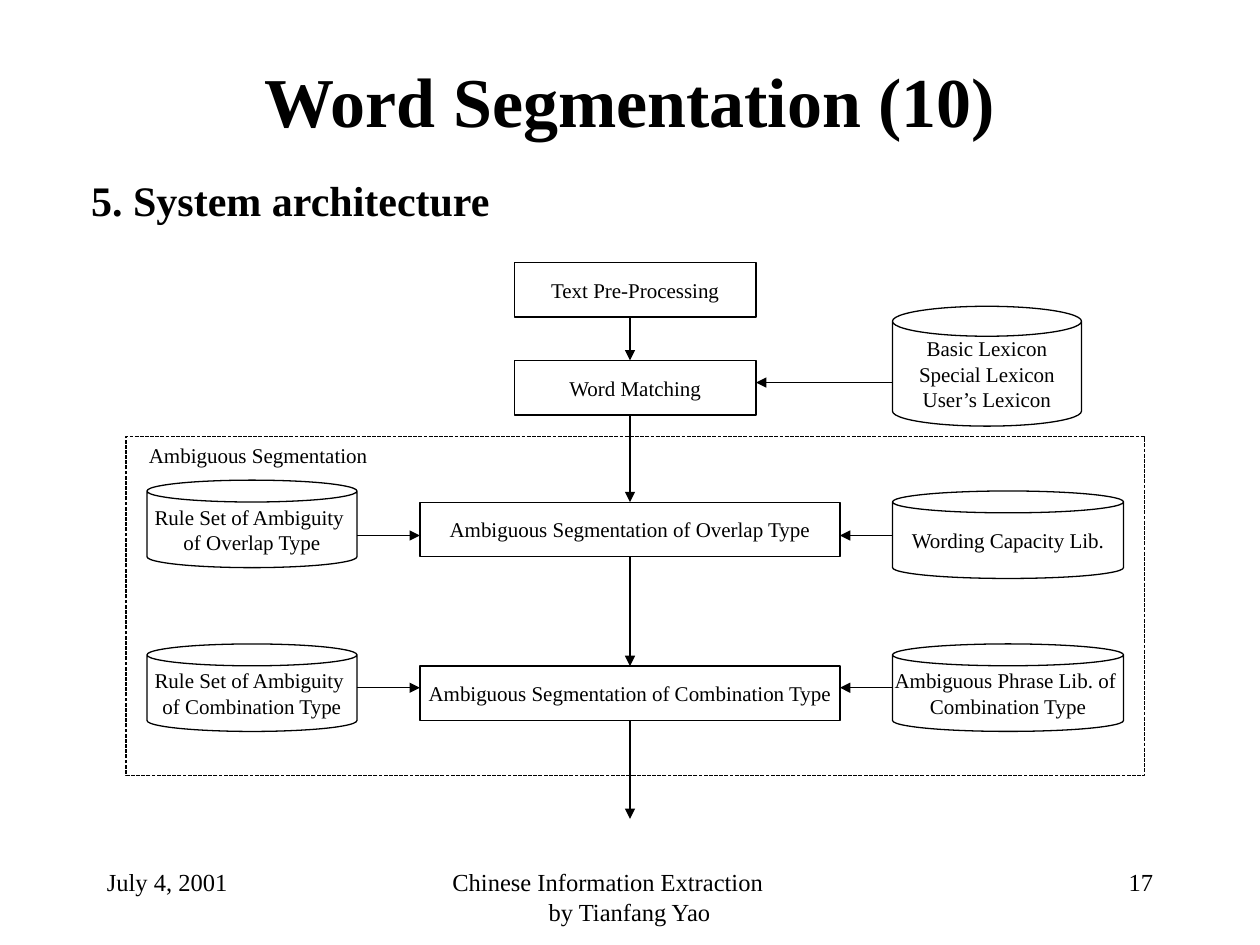
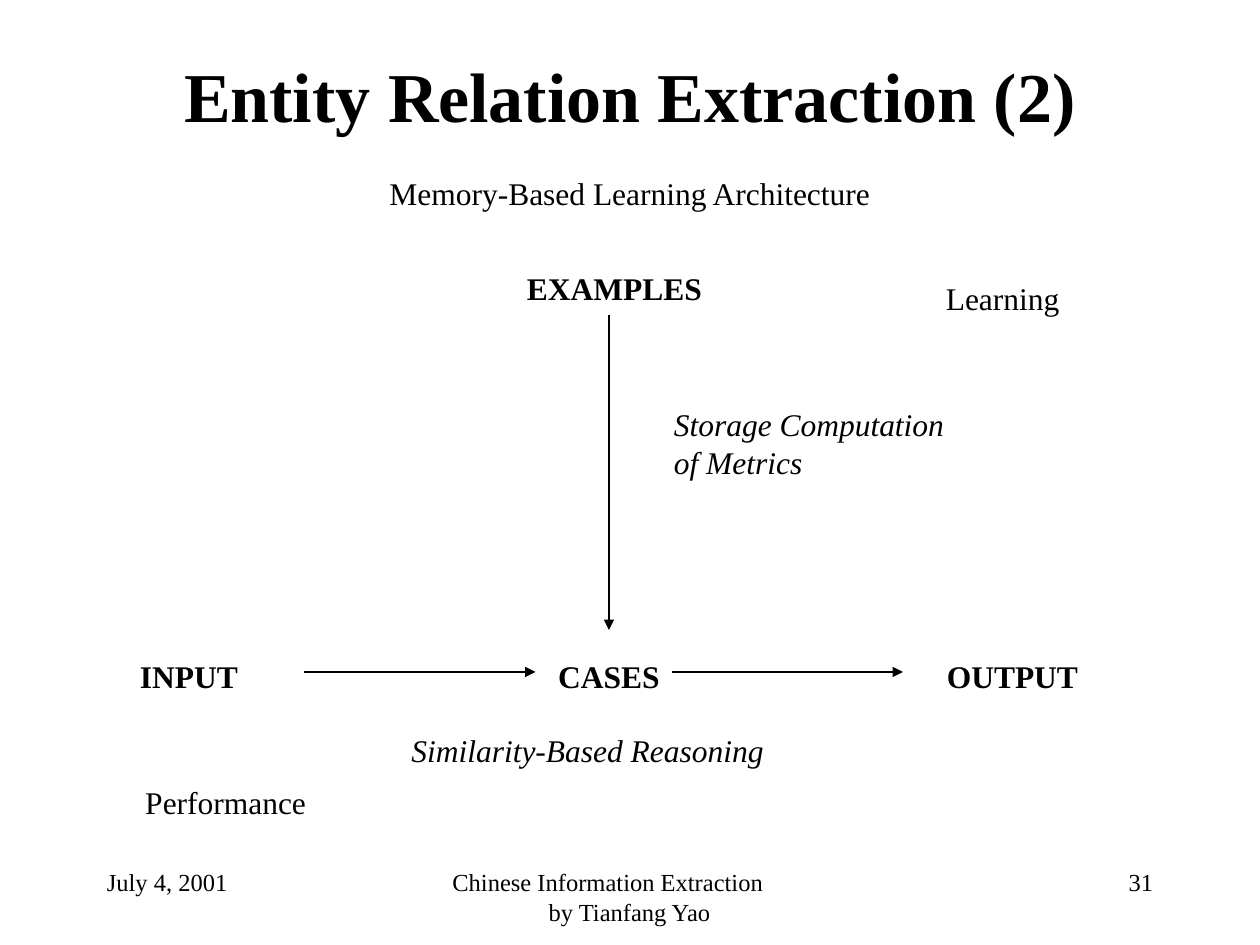
import pptx
import pptx.dml.color
import pptx.enum.dml
import pptx.enum.shapes
import pptx.enum.text
import pptx.oxml.ns
import pptx.util
from lxml import etree

Pt = pptx.util.Pt
SHAPE = pptx.enum.shapes.MSO_SHAPE
ALIGN = pptx.enum.text.PP_ALIGN
ANCHOR = pptx.enum.text.MSO_ANCHOR

BLACK = pptx.dml.color.RGBColor(0x00, 0x00, 0x00)
WHITE = pptx.dml.color.RGBColor(0xFF, 0xFF, 0xFF)
FONT = "Times New Roman"
LINE_WIDTH = 0.75
AXIS_X = 360
TOP, BOTTOM = 0, 2
BOX_H = 31.2
CAN_H = 50


def write(tf, text, size, align, bold=False, italic=False):
    for i, line in enumerate(text.split("\n")):
        p = tf.paragraphs[0] if i == 0 else tf.add_paragraph()
        p.text = line
        p.alignment = align
        p.font.name = FONT
        p.font.size = Pt(size)
        p.font.bold = bold
        p.font.italic = italic
        p.font.color.rgb = BLACK


def add_label(slide, text, x, y, w, h, size=18, align=ALIGN.LEFT, bold=False, italic=False):
    tf = slide.shapes.add_textbox(Pt(x), Pt(y), Pt(w), Pt(h)).text_frame
    tf.word_wrap = True
    write(tf, text, size, align, bold, italic)
    return tf


def add_node(slide, kind, text, x, y, w, h):
    sp = slide.shapes.add_shape(kind, Pt(x), Pt(y), Pt(w), Pt(h))
    sp.shadow.inherit = False
    sp.fill.background()
    sp.line.color.rgb = BLACK
    sp.line.width = Pt(LINE_WIDTH)
    tf = sp.text_frame
    tf.word_wrap = False
    tf.vertical_anchor = ANCHOR.MIDDLE
    write(tf, text, 12, ALIGN.CENTER)
    return sp


def add_arrow(slide, x1, y1, x2, y2, source=None, target=None):
    cx = slide.shapes.add_connector(
        pptx.enum.shapes.MSO_CONNECTOR.STRAIGHT, Pt(x1), Pt(y1), Pt(x2), Pt(y2))
    cx.line.color.rgb = BLACK
    cx.line.width = Pt(LINE_WIDTH)
    etree.SubElement(cx.line._get_or_add_ln(), pptx.oxml.ns.qn("a:tailEnd"), type="triangle")
    etree.SubElement(cx._element.spPr, pptx.oxml.ns.qn("a:effectLst"))
    if source is not None:
        cx.begin_connect(source, BOTTOM)
    if target is not None:
        cx.end_connect(target, TOP)


def add_footer(slide, number):
    y, h, size = 492, 36, 14
    tf = add_label(slide, "Chinese Information Extraction\nby Tianfang Yao", 246, y, 228, h, size)
    for p, indent in zip(tf.paragraphs, (5.4, 60.4)):
        p._p.get_or_add_pPr().set("marL", str(Pt(indent)))
    add_label(slide, str(number), 516, y, 150, h, size, ALIGN.RIGHT)
    add_label(slide, "July 4, 2001", 54, y, 150, h, size)


def new_slide(prs, title, title_h, number):
    slide = prs.slides.add_slide(prs.slide_layouts[6])
    slide.background.fill.solid()
    slide.background.fill.fore_color.rgb = WHITE
    tf = add_label(slide, title, 54, 24, 612, title_h, 40, ALIGN.CENTER, bold=True)
    tf.vertical_anchor = ANCHOR.MIDDLE
    add_footer(slide, number)
    return slide


def build_segmentation(prs):
    slide = new_slide(prs, "Word Segmentation (10)", 66, 17)
    add_label(slide, "5. System architecture", 45, 96, 645, 36, 24, bold=True)
    add_label(slide, "Ambiguous Segmentation", 78, 249.6, 144, 21.6, 12)

    frame = add_node(slide, SHAPE.RECTANGLE, "", 72, 249.6, 582, 193.4)
    frame.line.dash_style = pptx.enum.dml.MSO_LINE.SQUARE_DOT

    pre_y, match_y, overlap_y, combination_y = 150, 206, 287, 380.6
    for text, y in (("Text Pre-Processing", pre_y), ("Word Matching", match_y)):
        add_node(slide, SHAPE.RECTANGLE, text, 294, y, 138, BOX_H)
    overlap, combination = [
        add_node(slide, SHAPE.RECTANGLE, f"Ambiguous Segmentation of {kind} Type", 240, y, 240, BOX_H)
        for kind, y in (("Overlap", overlap_y), ("Combination", combination_y))]

    add_node(slide, SHAPE.CAN, "Basic Lexicon\nSpecial Lexicon\nUser’s Lexicon", 510, 175, 108, 68.5)
    for kind, y in (("Overlap", 274.4), ("Combination", 368)):
        add_node(slide, SHAPE.CAN, f"Rule Set of Ambiguity \nof {kind} Type", 84, y, 120, CAN_H)
    for text, y in (("Wording Capacity Lib.", 280.6),
                    ("Ambiguous Phrase Lib. of \nCombination Type", 368)):
        add_node(slide, SHAPE.CAN, text, 510, y, 132, CAN_H)

    add_arrow(slide, AXIS_X, pre_y + BOX_H, AXIS_X, match_y)
    add_arrow(slide, AXIS_X, match_y + BOX_H, AXIS_X, overlap_y, target=overlap)
    add_arrow(slide, AXIS_X, overlap_y + BOX_H, AXIS_X, combination_y, overlap, combination)
    add_arrow(slide, AXIS_X, combination_y + BOX_H, AXIS_X, 468, source=combination)
    add_arrow(slide, 510, 218.6, 432, 218.6)
    for y in (306, 393):
        add_arrow(slide, 204, y, 240, y)
        add_arrow(slide, 510, y, 480, y)


def build_relation(prs):
    slide = new_slide(prs, "Entity Relation Extraction (2)", 60, 31)
    h = 28.8
    add_label(slide, "Memory-Based Learning Architecture", 30, 96, 660, h, align=ALIGN.CENTER)

    for text, x, y, w, align in (
            ("EXAMPLES", 294, 150, 120, ALIGN.LEFT),
            ("INPUT", 54, 372, 108, ALIGN.CENTER),
            ("CASES", 288, 372, 120, ALIGN.CENTER),
            ("OUTPUT", 534, 372, 102, ALIGN.LEFT)):
        add_label(slide, text, x, y, w, h, align=align, bold=True)

    add_label(slide, "Learning", 522, 156, 102, h, align=ALIGN.CENTER)
    add_label(slide, "Performance", 54, 444, 150, h, align=ALIGN.CENTER)
    add_label(slide, "Storage Computation of Metrics", 378, 228, 186, 50.4, italic=True)
    add_label(slide, "Similarity-Based Reasoning", 228, 414, 228, h, italic=True)

    add_arrow(slide, 348, 180, 348, 360)
    for x in (174, 384):
        add_arrow(slide, x, 384, x + 132, 384)


def main():
    prs = pptx.Presentation()
    prs.slide_width, prs.slide_height = Pt(720), Pt(540)
    build_segmentation(prs)
    build_relation(prs)
    prs.save("out.pptx")


if __name__ == "__main__":
    main()
